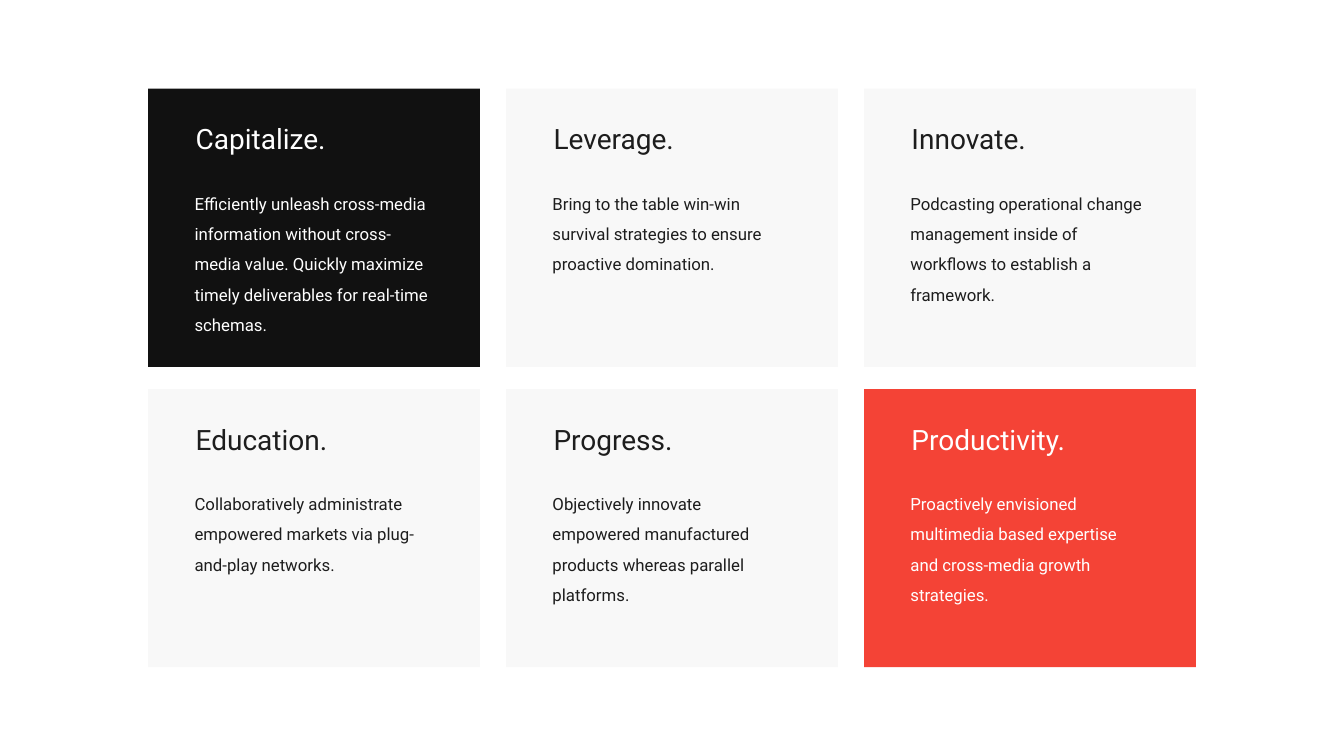
from dataclasses import dataclass

from pptx import Presentation
from pptx.dml.color import RGBColor
from pptx.enum.shapes import MSO_SHAPE
from pptx.enum.text import MSO_AUTO_SIZE
from pptx.slide import Slide
from pptx.util import Inches, Pt

RECTANGLE = MSO_SHAPE.RECTANGLE
FIT_SHAPE = MSO_AUTO_SIZE.SHAPE_TO_FIT_TEXT

FONT = "Roboto"
COLORS = {
    "black": "111111",
    "light": "F8F8F8",
    "red": "F44336",
    "white": "FFFFFF",
    "ink": "1D1D1D",
}

COLUMNS = 3
GRID_LEFT, GRID_TOP = 1.47, 0.88
COLUMN_STEP, ROW_STEP = 3.55, 2.98
CARD_WIDTH, CARD_HEIGHT = 3.29, 2.76
TEXT_WIDTH = 2.36


@dataclass(frozen=True)
class Card:
    heading: str
    body: str
    body_height: float
    fill: str = "light"
    ink: str = "ink"


CARDS = [
    Card("Capitalize.",
         "Efficiently unleash cross-media information without cross-media value. "
         "Quickly maximize timely deliverables for real-time schemas.",
         1.52, "black", "white"),
    Card("Leverage.",
         "Bring to the table win-win survival strategies to ensure proactive domination.",
         0.87),
    Card("Innovate.",
         "Podcasting operational change management inside of workflows "
         "to establish a framework.",
         1.21),
    Card("Education.",
         "Collaboratively administrate empowered markets via plug-and-play networks.",
         0.87),
    Card("Progress.",
         "Objectively innovate empowered manufactured products whereas parallel platforms.",
         1.21),
    Card("Productivity.",
         "Proactively envisioned multimedia based expertise "
         "and cross-media growth strategies.",
         0.87, "red", "white"),
]


def rgb(name: str) -> RGBColor:
    return RGBColor.from_string(COLORS[name])


def add_text(s: Slide, left: float, top: float, height: float, text: str,
             size: float, color: str, line_spacing: float = 1.0) -> None:
    box = s.shapes.add_textbox(Inches(left), Inches(top), Inches(TEXT_WIDTH), Inches(height))
    tf = box.text_frame
    tf.word_wrap = True
    tf.auto_size = FIT_SHAPE
    tf.margin_left = tf.margin_top = tf.margin_right = tf.margin_bottom = 0
    p = tf.paragraphs[0]
    p.line_spacing = line_spacing
    r = p.add_run()
    r.text = text
    r.font.name = FONT
    r.font.size = Pt(size)
    r.font.color.rgb = rgb(color)


def add_card(s: Slide, card: Card, left: float, top: float) -> None:
    sp = s.shapes.add_shape(RECTANGLE, Inches(left), Inches(top),
                            Inches(CARD_WIDTH), Inches(CARD_HEIGHT))
    sp.shadow.inherit = False
    sp.fill.solid()
    sp.fill.fore_color.rgb = rgb(card.fill)
    sp.line.fill.background()
    add_text(s, left + 0.47, top + 0.33, 0.34, card.heading, 20, card.ink)
    add_text(s, left + 0.46, top + 0.94, card.body_height, card.body, 12, card.ink, 1.5)


def main() -> None:
    prs = Presentation()
    prs.slide_width, prs.slide_height = Inches(13.33), Inches(7.5)
    blank_layout = prs.slide_layouts[6]
    s = prs.slides.add_slide(blank_layout)
    for i, card in enumerate(CARDS):
        row, column = divmod(i, COLUMNS)
        add_card(s, card, GRID_LEFT + column * COLUMN_STEP, GRID_TOP + row * ROW_STEP)
    prs.save("out.pptx")


if __name__ == "__main__":
    main()
